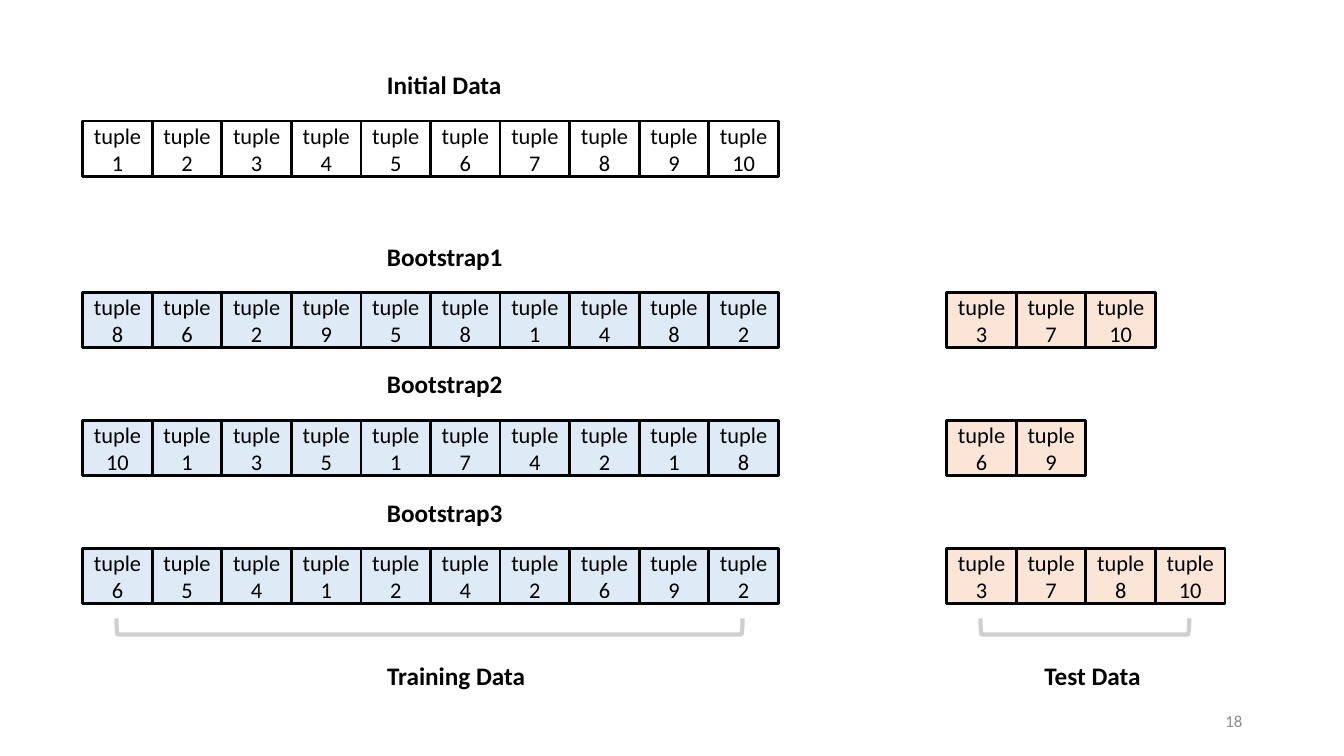
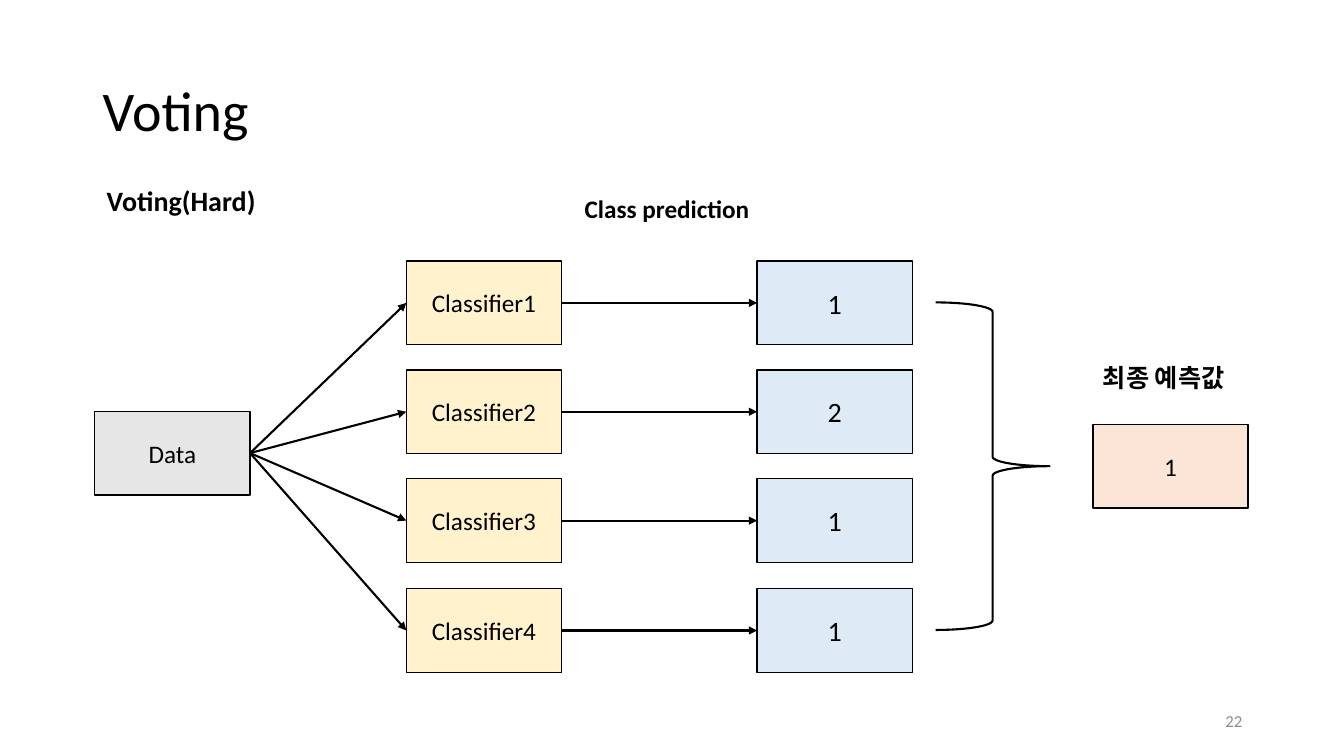
from lxml import etree
from pptx import Presentation
from pptx.dml.color import RGBColor
from pptx.enum.shapes import MSO_CONNECTOR, MSO_SHAPE
from pptx.enum.text import MSO_ANCHOR, PP_ALIGN
from pptx.oxml.ns import qn
from pptx.util import Pt

RECT = MSO_SHAPE.RECTANGLE
BRACKET = MSO_SHAPE.LEFT_BRACKET
BRACE = MSO_SHAPE.RIGHT_BRACE
STRAIGHT = MSO_CONNECTOR.STRAIGHT
TOP, MIDDLE = MSO_ANCHOR.TOP, MSO_ANCHOR.MIDDLE
LEFT, CENTER, RIGHT = PP_ALIGN.LEFT, PP_ALIGN.CENTER, PP_ALIGN.RIGHT
LEFT_SIDE, RIGHT_SIDE = 1, 3

PX = 9144  # EMU per px, 100 px to the inch
FONT = "Calibri"
COLORS = {
    "ink": "000000", "white": "FFFFFF", "blue": "DEEBF7", "peach": "FBE5D6",
    "cream": "FFF2CC", "gray": "E7E6E6", "rule": "D0CECE", "footer": "8C8C8C",
}


def rgb(name):
    return RGBColor.from_string(COLORS[name])


def write(frame, words, size=18, bold=False, color="ink", align=LEFT,
          anchor=TOP, lead=None):
    frame.word_wrap = True
    frame.vertical_anchor = anchor
    para = frame.paragraphs[0]
    para.alignment = align
    if lead:
        para.line_spacing = lead
    run = para.add_run()
    run.text = words
    font = run.font
    font.name, font.size, font.bold = FONT, Pt(size), bold
    font.color.rgb = rgb(color)


class Deck:
    def __init__(self, width, height):
        self.file = Presentation()
        self.file.slide_width = width * PX
        self.file.slide_height = height * PX
        self.shapes = None

    def slide(self, number):
        layout = self.file.slide_layouts[6]
        self.shapes = self.file.slides.add_slide(layout).shapes
        self.text(942, 695, 300, 40, str(number), size=12, color="footer",
                  align=RIGHT, anchor=MIDDLE)

    def text(self, x, y, w, h, words, **style):
        box = self.shapes.add_textbox(x * PX, y * PX, w * PX, h * PX)
        write(box.text_frame, words, **style)

    def title(self, words):
        self.text(92, 40, 1150, 145, words, size=40, anchor=MIDDLE, lead=0.9)

    def label(self, x, y, w, words, size=18):
        self.text(x, y, w, 40, words, size=size, bold=True)

    def shape(self, kind, x, y, w, h, fill=None, line="ink", weight=1):
        item = self.shapes.add_shape(kind, x * PX, y * PX, w * PX, h * PX)
        item.shadow.inherit = False
        if fill:
            item.fill.solid()
            item.fill.fore_color.rgb = rgb(fill)
        else:
            item.fill.background()
        item.line.color.rgb = rgb(line)
        item.line.width = Pt(weight)
        return item

    def box(self, x, y, w, h, words, fill, size=18, weight=1):
        item = self.shape(RECT, x, y, w, h, fill, weight=weight)
        write(item.text_frame, words, size=size, align=CENTER, anchor=MIDDLE)
        return item

    def arrow(self, start, end):
        line = self.shapes.add_connector(STRAIGHT, 0, 0, 0, 0)
        line.begin_connect(start, RIGHT_SIDE)
        line.end_connect(end, LEFT_SIDE)
        line.line.color.rgb = rgb("ink")
        line.line.width = Pt(1.5)
        props = line._element.spPr
        etree.SubElement(props.find(qn("a:ln")), qn("a:tailEnd"), type="triangle")
        etree.SubElement(props, qn("a:effectLst"))

    def bracket(self, x, y, span, depth):
        """Draw a bracket that opens upward, with its top left at x, y."""
        left = x + (span - depth) // 2
        top = y + (depth - span) // 2
        item = self.shape(BRACKET, left, top, depth, span, line="rule", weight=3)
        item.rotation = 270


# Bootstrap slide: rows of tuples
CELL_W, CELL_H = 69, 55
TRAIN_X, TEST_X, LABEL_X = 82, 939, 374
ROWS = [
    (120, "Initial Data", "white", range(1, 11), []),
    (290, "Bootstrap1", "blue", [8, 6, 2, 9, 5, 8, 1, 4, 8, 2], [3, 7, 10]),
    (417, "Bootstrap2", "blue", [10, 1, 3, 5, 1, 7, 4, 2, 1, 8], [6, 9]),
    (544, "Bootstrap3", "blue", [6, 5, 4, 1, 2, 4, 2, 6, 9, 2], [3, 7, 8, 10]),
]


def tuples(deck, x, y, ids, fill):
    for i, number in enumerate(ids):
        deck.box(x + i * CELL_W, y, CELL_W, CELL_H, f"tuple{number}", fill,
                 size=16, weight=2)


def sampling(deck):
    deck.slide(18)
    for y, name, fill, train, test in ROWS:
        deck.label(LABEL_X, y - 56, 244, name)
        tuples(deck, TRAIN_X, y, train, fill)
        tuples(deck, TEST_X, y, test, "peach")
    # Each bracket runs between the centres of the outer cells
    for x, count in ((TRAIN_X, 10), (TEST_X, 4)):
        deck.bracket(x + CELL_W // 2, 614, (count - 1) * CELL_W, 16)
    deck.label(LABEL_X, 650, 171, "Training Data")
    deck.label(1026, 650, 171, "Test Data")


# Voting slide: data, classifiers, votes and result
BOX_W, BOX_H = 154, 83
FIRST_Y, SPREAD = 259, 325
VOTES = [1, 2, 1, 1]


def voting(deck):
    deck.slide(22)
    deck.title("Voting")
    deck.label(96, 177, 192, "Voting(Hard)", size=20)
    deck.label(570, 187, 192, "Class prediction")
    data = deck.box(94, 408, BOX_W, BOX_H, "Data", "gray")
    for i, vote in enumerate(VOTES):
        y = FIRST_Y + SPREAD * i // (len(VOTES) - 1)
        model = deck.box(403, y, BOX_W, BOX_H, f"Classifier{i + 1}", "cream")
        result = deck.box(751, y, BOX_W, BOX_H, str(vote), "blue", size=20)
        deck.arrow(data, model)
        deck.arrow(model, result)
    deck.shape(BRACE, 928, FIRST_Y + BOX_H // 2, 113, SPREAD, weight=1.5)
    deck.label(1084, 355, 192, "최종 예측값")
    deck.box(1084, 421, BOX_W, BOX_H, "1", "peach")


def main():
    deck = Deck(1333, 750)
    sampling(deck)
    voting(deck)
    deck.file.save("out.pptx")


if __name__ == "__main__":
    main()
